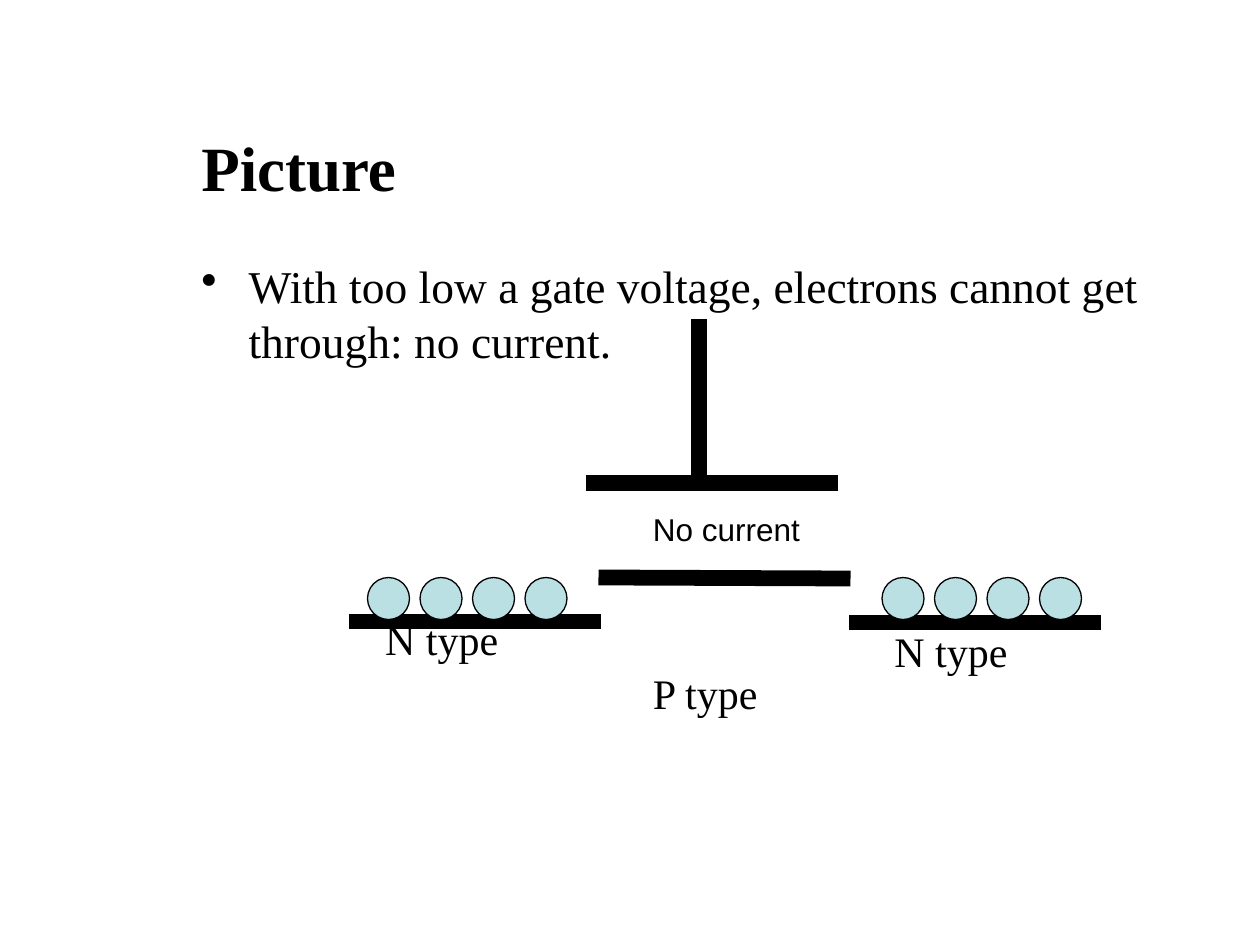
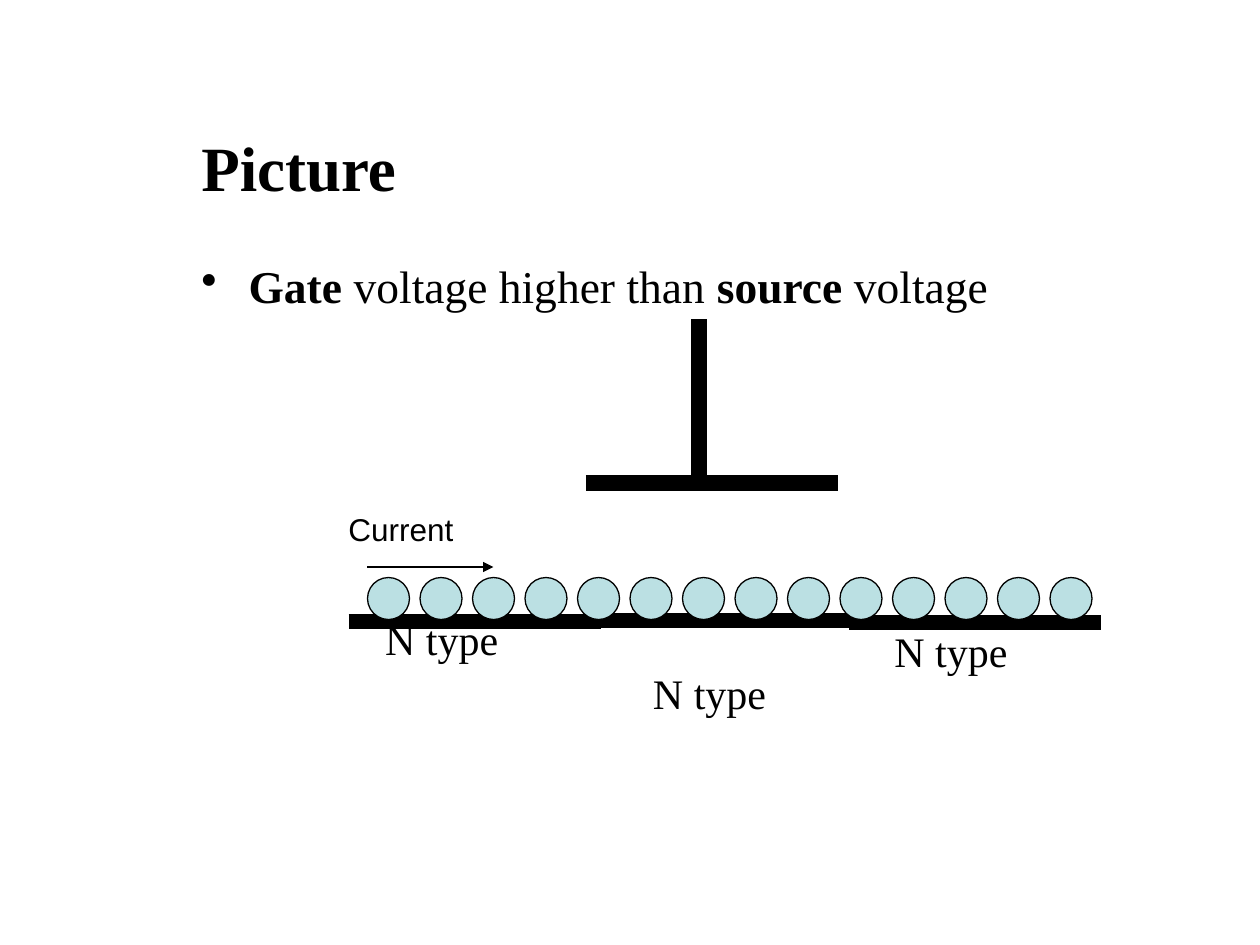
"""Two slides showing a transistor channel below and above its gate threshold."""
from dataclasses import dataclass

from lxml import etree
from pptx import Presentation
from pptx import util as u
from pptx.dml.color import RGBColor
from pptx.enum import shapes, text
from pptx.oxml.ns import qn
from pptx.slide import Slide

PX = 7620
BLACK = RGBColor(0x00, 0x00, 0x00)
CHARGE_FILL = RGBColor(0xBB, 0xE0, 0xE3)
SERIF, SANS = "Times New Roman", "Arial"
BAR_WEIGHT, THIN_WEIGHT = 9, 0.75
CHARGE_TOP, CHARGE_SIZE, CHARGE_STEP = 550, 40, 50
BULLET_INDENT = 45


@dataclass(frozen=True)
class Run:
    words: str
    bold: bool = False


@dataclass(frozen=True)
class Line:
    x1: int
    y1: int
    x2: int
    y2: int
    weight: float = BAR_WEIGHT
    arrow: bool = False


@dataclass(frozen=True)
class Label:
    words: str
    left: int
    top: int
    width: int = 150
    height: int = 60
    size: int = 24
    font: str = SERIF


@dataclass(frozen=True)
class ChargeRow:
    left: int
    count: int


@dataclass(frozen=True)
class GateState:
    statement: tuple[Run, ...]
    lines: tuple[Line, ...]
    labels: tuple[Label, ...]
    charges: tuple[ChargeRow, ...]


TITLE = Run("Picture", bold=True)
SHARED_LINES = (
    Line(332, 592, 572, 592),
    Line(809, 593, 1049, 593),
    Line(666, 460, 666, 304),
    Line(558, 460, 798, 460),
)
SHARED_LABELS = (Label("N type", 355, 578), Label("N type", 840, 590))

STATES = (
    GateState(
        statement=(Run("With too low a gate voltage, electrons cannot get through: no current."),),
        lines=(Line(570, 550, 810, 551),),
        labels=(
            Label("P type", 610, 630),
            Label("No current", 610, 480, 210, 48, 18, SANS),
        ),
        charges=(ChargeRow(350, 4), ChargeRow(840, 4)),
    ),
    GateState(
        statement=(
            Run("Gate", bold=True),
            Run(" voltage higher than "),
            Run("source", bold=True),
            Run(" voltage"),
        ),
        lines=(
            Line(570, 591, 810, 591),
            Line(350, 540, 470, 540, THIN_WEIGHT, arrow=True),
        ),
        labels=(
            Label("N type", 610, 630),
            Label("Current", 320, 480, 130, 48, 18, SANS),
        ),
        charges=(ChargeRow(350, 14),),
    ),
)


def px(*lengths: int) -> list[u.Emu]:
    """Turn px lengths into EMU."""
    return [u.Emu(length * PX) for length in lengths]


def add_text(slide: Slide, runs: tuple[Run, ...], box: tuple[int, int, int, int], *,
             size: int, font: str = SERIF, bullet: bool = False,
             anchor: text.MSO_ANCHOR = text.MSO_ANCHOR.TOP) -> None:
    """Write one paragraph of runs in a wrapping text box."""
    frame = slide.shapes.add_textbox(*px(*box)).text_frame
    frame.word_wrap = True
    frame.vertical_anchor = anchor
    paragraph = frame.paragraphs[0]
    if bullet:
        properties = paragraph._p.get_or_add_pPr()
        properties.set("marL", str(BULLET_INDENT * PX))
        properties.set("indent", str(-BULLET_INDENT * PX))
        etree.SubElement(properties, qn("a:buChar")).set("char", "•")
    for part in runs:
        run = paragraph.add_run()
        run.text = part.words
        run.font.name = font
        run.font.size = u.Pt(size)
        run.font.bold = part.bold
        run.font.color.rgb = BLACK


def add_line(slide: Slide, line: Line) -> None:
    """Draw a straight black line, with an arrowhead if asked."""
    connector = slide.shapes.add_connector(
        shapes.MSO_CONNECTOR.STRAIGHT, *px(line.x1, line.y1, line.x2, line.y2))
    connector.line.color.rgb = BLACK
    connector.line.width = u.Pt(line.weight)
    if line.arrow:
        tail = etree.SubElement(connector.line._get_or_add_ln(), qn("a:tailEnd"))
        tail.set("type", "triangle")
    etree.SubElement(connector._element.spPr, qn("a:effectLst"))


def add_charges(slide: Slide, row: ChargeRow) -> None:
    """Draw a row of evenly spaced electrons."""
    for index in range(row.count):
        electron = slide.shapes.add_shape(
            shapes.MSO_SHAPE.OVAL,
            *px(row.left + index * CHARGE_STEP, CHARGE_TOP, CHARGE_SIZE, CHARGE_SIZE))
        electron.shadow.inherit = False
        electron.fill.solid()
        electron.fill.fore_color.rgb = CHARGE_FILL
        electron.line.color.rgb = BLACK
        electron.line.width = u.Pt(THIN_WEIGHT)


def add_state(slide: Slide, state: GateState) -> None:
    """Draw the title, the statement and the diagram of one gate state."""
    add_text(slide, (TITLE,), (180, 100, 960, 116), size=36, anchor=text.MSO_ANCHOR.MIDDLE)
    add_text(slide, state.statement, (180, 240, 960, 490), size=26, bullet=True)
    for line in SHARED_LINES + state.lines:
        add_line(slide, line)
    for label in SHARED_LABELS + state.labels:
        add_text(slide, (Run(label.words),),
                 (label.left, label.top, label.width, label.height),
                 size=label.size, font=label.font)
    for row in state.charges:
        add_charges(slide, row)


def main() -> None:
    """Build and save the presentation."""
    deck = Presentation()
    deck.slide_width, deck.slide_height = px(1200, 900)
    for state in STATES:
        add_state(deck.slides.add_slide(deck.slide_layouts[6]), state)
    deck.save("out.pptx")


if __name__ == "__main__":
    main()
